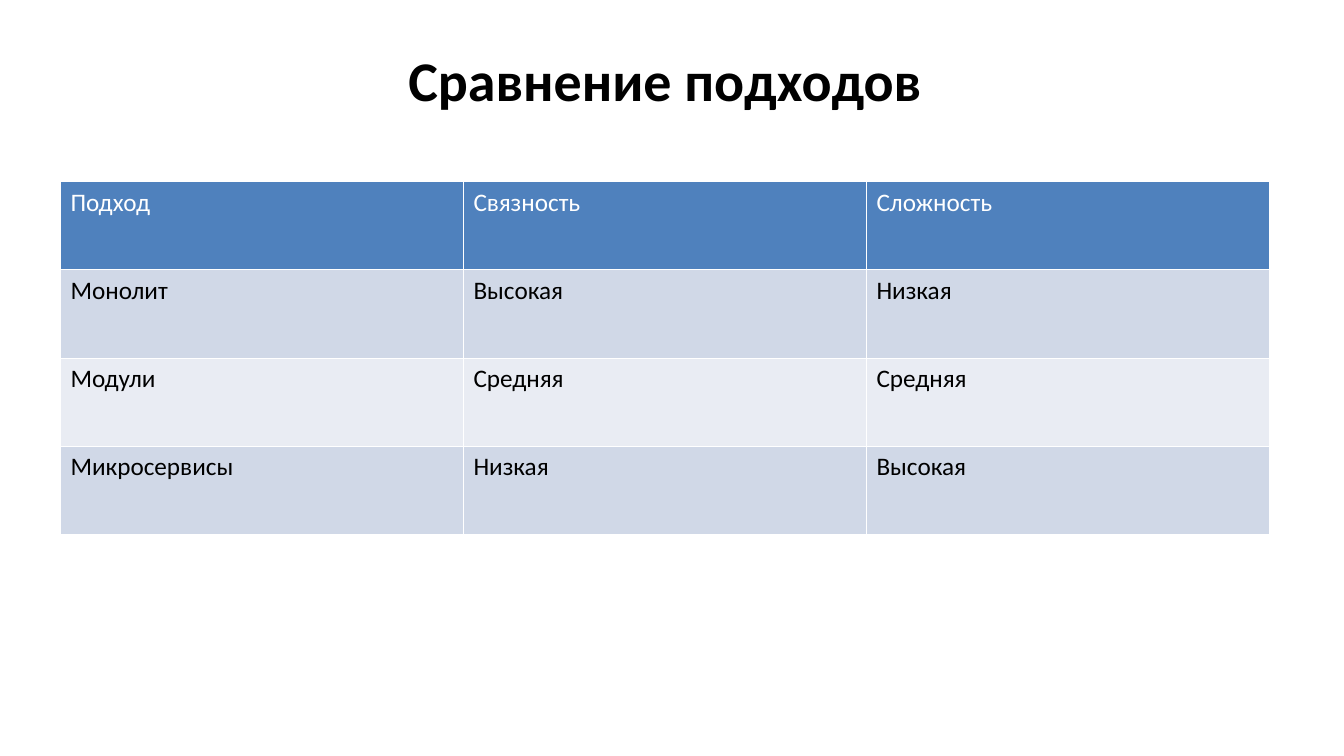
from lxml import etree
from pptx import Presentation
from pptx.dml.color import RGBColor
from pptx.enum.text import MSO_AUTO_SIZE, PP_ALIGN
from pptx.oxml.ns import qn
from pptx.util import Pt

CENTER, LEFT = PP_ALIGN.CENTER, PP_ALIGN.LEFT
NO_AUTO_SIZE = MSO_AUTO_SIZE.NONE

# Content
TITLE = "Сравнение подходов"
ROWS = [
    ("Подход", "Связность", "Сложность"),
    ("Монолит", "Высокая", "Низкая"),
    ("Модули", "Средняя", "Средняя"),
    ("Микросервисы", "Низкая", "Высокая"),
]

# Theme and layout, in points
THEME = {
    "font": "Calibri",
    "title_size": 40,
    "cell_size": 18,
    "text": "000000",
    "header_text": "FFFFFF",
    "header_fill": "4F81BD",
    "band_fills": ("D0D8E7", "E9ECF3"),
    "border": "FFFFFF",
    "border_width": 0.45,
}
SLIDE_SIZE = (960.48, 540)
TITLE_BOX = (284.4, 28.8, 381.6, 55.4)
TABLE_BOX = (43.2, 129.6, 864, 252)


def points(values):
    return [Pt(value) for value in values]


def write(text_frame, text, size, color, bold, alignment, line_spacing):
    paragraph = text_frame.paragraphs[0]
    paragraph.alignment = alignment
    paragraph.line_spacing = line_spacing
    run = paragraph.add_run()
    run.text = text
    values = {"name": THEME["font"], "size": Pt(size), "bold": bold}
    for name, value in values.items():
        setattr(run.font, name, value)
    run.font.color.rgb = RGBColor.from_string(color)


def add_borders(cell):
    properties = cell._tc.get_or_add_tcPr()
    for side in ("a:lnL", "a:lnR", "a:lnT", "a:lnB"):
        line = etree.SubElement(properties, qn(side), w=str(Pt(THEME["border_width"])))
        fill = etree.SubElement(line, qn("a:solidFill"))
        etree.SubElement(fill, qn("a:srgbClr"), val=THEME["border"])


def add_title(slide):
    text_frame = slide.shapes.add_textbox(*points(TITLE_BOX)).text_frame
    text_frame.word_wrap = False
    text_frame.auto_size = NO_AUTO_SIZE
    write(text_frame, TITLE, THEME["title_size"], THEME["text"], True, CENTER, 1.0)


def add_comparison(slide):
    row_count, column_count = len(ROWS), len(ROWS[0])
    table = slide.shapes.add_table(row_count, column_count, *points(TABLE_BOX)).table
    for column in table.columns:
        column.width = Pt(TABLE_BOX[2] / column_count)
    for row in table.rows:
        row.height = Pt(TABLE_BOX[3] / row_count)

    for row_index, texts in enumerate(ROWS):
        is_header = row_index == 0
        fill = THEME["header_fill"] if is_header else THEME["band_fills"][(row_index - 1) % 2]
        color = THEME["header_text"] if is_header else THEME["text"]
        for column_index, text in enumerate(texts):
            cell = table.cell(row_index, column_index)
            add_borders(cell)
            cell.fill.solid()
            cell.fill.fore_color.rgb = RGBColor.from_string(fill)
            write(cell.text_frame, text, THEME["cell_size"], color, False, LEFT, 1.02)


def main():
    presentation = Presentation()
    presentation.slide_width, presentation.slide_height = points(SLIDE_SIZE)
    slide = presentation.slides.add_slide(presentation.slide_layouts[6])
    add_title(slide)
    add_comparison(slide)
    presentation.save("out.pptx")


if __name__ == "__main__":
    main()
